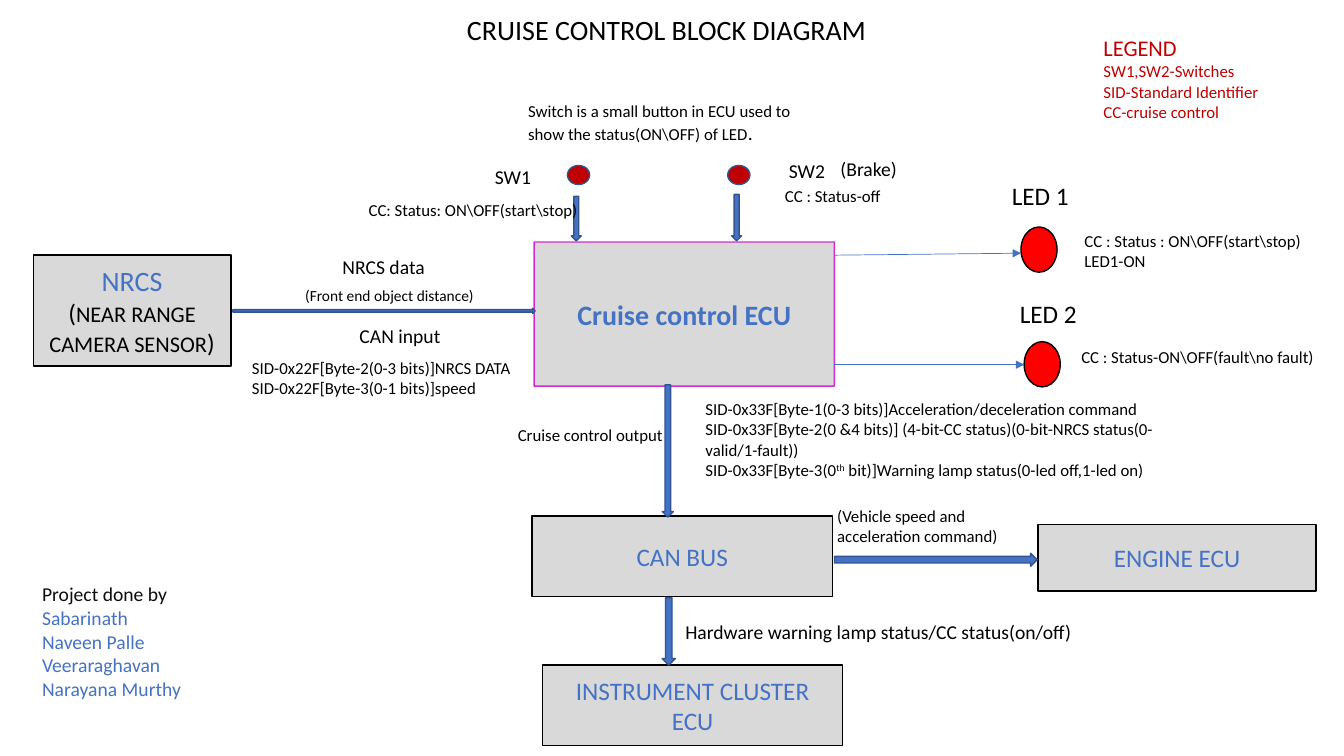
from lxml.etree import SubElement
from pptx import Presentation
from pptx.dml.color import RGBColor
from pptx.enum.shapes import MSO_CONNECTOR, MSO_SHAPE
from pptx.enum.text import MSO_ANCHOR, MSO_AUTO_SIZE, PP_ALIGN
from pptx.oxml.ns import qn
from pptx.util import Cm, Pt

FONT = "Calibri"
BLACK, BLUE, DARK_BLUE = "000000", "4472C4", "325491"
GREY, DARK_RED, RED, MAGENTA = "D9D9D9", "C00000", "FF0000", "CC00CC"
INK = "0D0D0D"


def color(code):
    return RGBColor.from_string(code)


def span(text, size=12, ink=BLACK, bold=False, raised=False):
    return text, size, ink, bold, raised


def write(frame, paragraphs, align=PP_ALIGN.LEFT):
    """Fill a text frame; each paragraph is a list of spans."""
    for index, spans in enumerate(paragraphs):
        para = frame.paragraphs[0] if index == 0 else frame.add_paragraph()
        para.alignment = align
        for text, size, ink, bold, raised in spans:
            run = para.add_run()
            run.text = text
            run.font.name = FONT
            run.font.size = Pt(size)
            run.font.bold = bold
            run.font.color.rgb = color(ink)
            if raised:
                run.font._element.set("baseline", "30000")


def add_figure(page, kind, left, top, width, height, fill, line):
    figure = page.shapes.add_shape(kind, Cm(left), Cm(top), Cm(width), Cm(height))
    figure.shadow.inherit = False
    figure.fill.solid()
    figure.fill.fore_color.rgb = color(fill)
    figure.line.color.rgb = color(line)
    figure.line.width = Pt(1)
    return figure


def add_block(page, left, top, width, height, paragraphs, line=BLACK):
    block = add_figure(page, MSO_SHAPE.RECTANGLE, left, top, width, height, GREY, line)
    block.text_frame.word_wrap = True
    block.text_frame.vertical_anchor = MSO_ANCHOR.MIDDLE
    write(block.text_frame, paragraphs, PP_ALIGN.CENTER)
    return block


def add_label(page, left, top, width, height, paragraphs, align=PP_ALIGN.LEFT):
    box = page.shapes.add_textbox(Cm(left), Cm(top), Cm(width), Cm(height))
    box.text_frame.word_wrap = True
    box.text_frame.auto_size = MSO_AUTO_SIZE.SHAPE_TO_FIT_TEXT
    write(box.text_frame, paragraphs, align)


def add_signal(page, start_x, start_y, end_x, end_y):
    """Thin line with an arrowhead at its end."""
    signal = page.shapes.add_connector(
        MSO_CONNECTOR.STRAIGHT, Cm(start_x), Cm(start_y), Cm(end_x), Cm(end_y))
    signal.line.color.rgb = color(BLUE)
    signal.line.width = Pt(0.5)
    SubElement(signal.line._get_or_add_ln(), qn("a:tailEnd"), type="triangle")
    SubElement(signal._element.spPr, qn("a:effectLst"))


def add_blocks(page):
    ecu = add_block(page, 13.46, 6.1, 7.57, 3.63,
                    [[span("Cruise control ECU", 20, BLUE, bold=True)]], MAGENTA)
    border = ecu.line.color._xFill.find(qn("a:srgbClr"))
    SubElement(border, qn("a:alpha"), val="82000")
    add_block(page, 0.84, 6.43, 4.98, 2.79, [
        [span("NRCS", 20, BLUE)],
        [span("(", 18), span("NEAR RANGE CAMERA SENSOR", 16), span(")", 18)],
    ])
    for name, left, top, width, height in [
        ("CAN BUS", 13.41, 13, 7.57, 2.03),
        ("INSTRUMENT CLUSTER ECU", 13.67, 16.76, 7.57, 2.03),
        ("ENGINE ECU", 26.16, 13.21, 7.01, 1.68),
    ]:
        add_block(page, left, top, width, height, [[span(name, 18, BLUE)]])


def add_flows(page):
    # Block arrows
    down, right = MSO_SHAPE.DOWN_ARROW, MSO_SHAPE.RIGHT_ARROW
    for kind, left, top, width, height in [
        (right, 5.87, 7.77, 7.62, 0.13),
        (down, 14.4, 4.95, 0.25, 1.12),
        (down, 18.44, 4.9, 0.25, 1.17),
        (down, 16.69, 9.7, 0.28, 3.33),
        (down, 16.69, 15.06, 0.33, 1.7),
        (right, 21.03, 13.94, 5.11, 0.33),
    ]:
        add_figure(page, kind, left, top, width, height, BLUE, DARK_BLUE)

    # Switches and LEDs
    for left in (14.3, 18.34):
        add_figure(page, MSO_SHAPE.OVAL, left, 4.17, 0.56, 0.48, DARK_RED, DARK_BLUE)
    for left, top in [(25.73, 5.72), (25.81, 8.61)]:
        add_figure(page, MSO_SHAPE.OVAL, left, top, 0.91, 1.14, RED, BLACK)

    # Lamp signals
    add_signal(page, 21.03, 6.43, 25.73, 6.38)
    add_signal(page, 21.03, 9.19, 25.81, 9.19)


def add_labels(page):
    # Labels of one line
    for text, size, left, top, width, height in [
        ("CAN input", 14, 8.81, 8.03, 3.07, 0.86),
        ("(Front end object distance)", 11, 7.44, 7.09, 5.18, 0.74),
        ("NRCS data", 14, 8.38, 6.3, 2.8, 0.86),
        ("SW1", 14, 12.22, 4.04, 1.85, 0.86),
        ("SW2", 14, 19.63, 3.89, 2.9, 0.86),
        ("(Brake)", 14, 20.93, 3.84, 2.54, 0.86),
        ("CC: Status: ON\\OFF(start\\stop)", 12, 9.04, 4.9, 5.82, 0.76),
        ("CC : Status-off", 12, 19.53, 4.55, 3.53, 0.76),
        ("LED 1", 18, 25.25, 4.42, 2.11, 1.02),
        ("LED 2", 18, 25.45, 7.39, 2.11, 1.02),
        ("CC : Status-ON\\OFF(fault\\no fault)", 12, 27, 8.61, 6.38, 0.76),
        ("Cruise control output", 12, 12.8, 10.57, 5.11, 0.76),
        ("Hardware warning lamp status/CC status(on/off)", 14, 17.02, 15.49, 10.31, 0.86),
        ("(Vehicle speed and acceleration command)", 12, 20.85, 12.62, 4.88, 1.27),
    ]:
        add_label(page, left, top, width, height, [[span(text, size)]])

    # Notes on switches, lamps and messages
    add_label(page, 13.06, 2.41, 8.05, 1.37, [[
        span("Switch is a small button in ECU used to show the status(ON\\OFF) of LED"),
        span(".", 14)]])
    add_label(page, 27.08, 5.69, 6.22, 1.27, [
        [span("CC : Status : ON\\OFF(start\\stop)")],
        [span("LED1-ON")]])
    add_label(page, 6.1, 8.89, 7.09, 1.27, [
        [span("SID-0x22F[Byte-2(0-3 bits)]NRCS DATA")],
        [span("SID-0x22F[Byte-3(0-1 bits)]speed")]])
    add_label(page, 17.53, 9.93, 11.89, 2.31, [
        [span("SID-0x33F[Byte-1(0-3 bits)]Acceleration/deceleration command")],
        [span("SID-0x33F[Byte-2(0 &4 bits)] (4-bit-CC status)"
              "(0-bit-NRCS status(0-valid/1-fault))")],
        [span("SID-0x33F[Byte-3(0"), span("th", raised=True),
         span(" bit)]Warning lamp status(0-led off,1-led on)")]])


def add_title_and_credits(page):
    add_label(page, 10.36, 0.2, 12.88, 1.12,
              [[span("CRUISE CONTROL BLOCK DIAGRAM", 20)]], PP_ALIGN.CENTER)
    meanings = ["SW1,SW2-Switches", "SID-Standard Identifier", "CC-cruise control"]
    add_label(page, 27.56, 0.74, 5.23, 2.49,
              [[span("LEGEND", 16, DARK_RED)]]
              + [[span(meaning, 12, DARK_RED)] for meaning in meanings])
    team = ["Sabarinath", "Naveen Palle", "Veeraraghavan", "Narayana Murthy"]
    add_label(page, 0.81, 14.55, 4.98, 3.3,
              [[span("Project done by", 14, INK)]]
              + [[span(member, 14, BLUE)] for member in team])


def main():
    deck = Presentation()
    deck.slide_width, deck.slide_height = Cm(33.87), Cm(19.05)
    page = deck.slides.add_slide(deck.slide_layouts[6])
    add_blocks(page)
    add_flows(page)
    add_labels(page)
    add_title_and_credits(page)
    deck.save("out.pptx")


if __name__ == "__main__":
    main()
